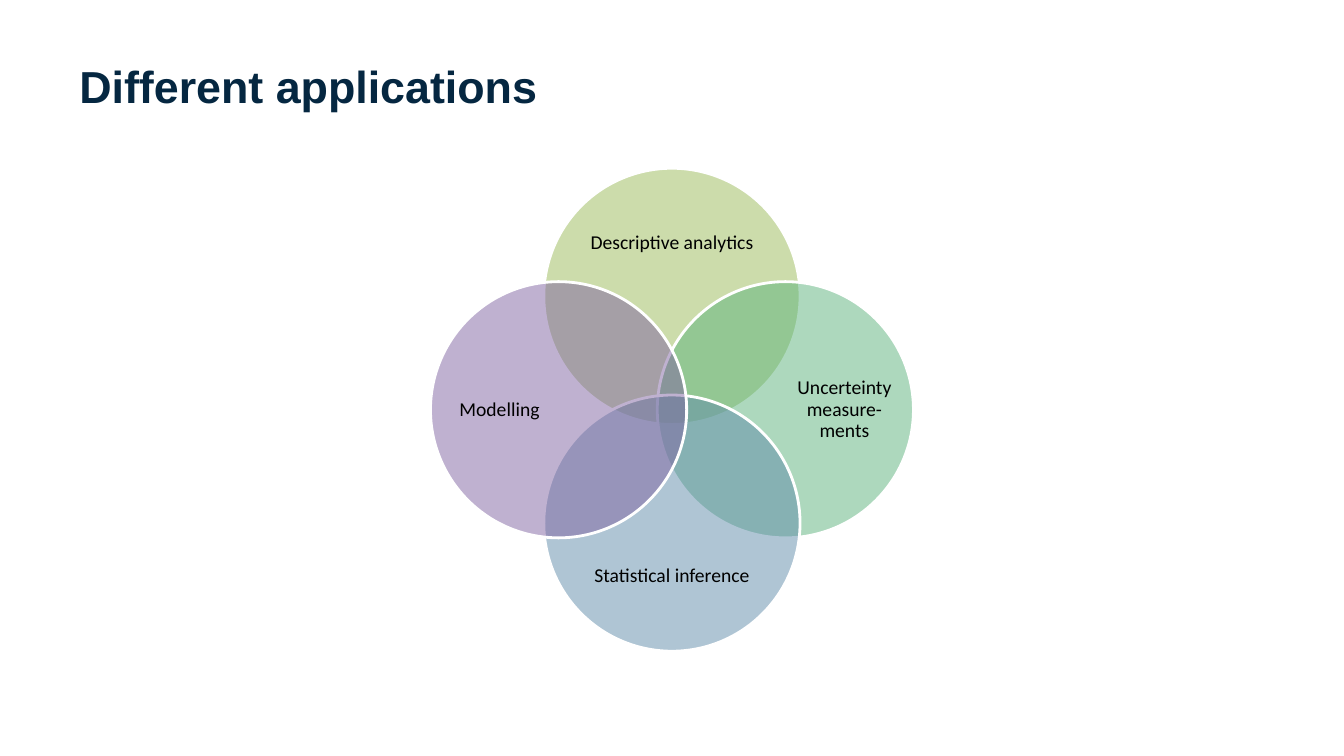
from dataclasses import dataclass

from lxml import etree
from pptx import Presentation
from pptx.dml.color import RGBColor
from pptx.enum import shapes, text
from pptx.oxml import ns
from pptx.slide import Slide
from pptx.util import Pt

NAVY = RGBColor(0x05, 0x27, 0x41)
BLACK = RGBColor(0, 0, 0)
WHITE = RGBColor(0xFF, 0xFF, 0xFF)
LIME = RGBColor(0x9B, 0xBB, 0x59)
GREEN = RGBColor(0x5C, 0xB3, 0x7C)
BLUE = RGBColor(0x60, 0x8C, 0xAB)
PURPLE = RGBColor(0x80, 0x64, 0xA2)

# Centre of the diagram, circle size and distance of circles from the centre
MID_X, MID_Y = 480, 292.7
SIZE, STEP = 183, 81
LONG = 140.4


@dataclass
class Circle:
    label: str
    color: RGBColor
    dx: int  # direction from the centre
    dy: int


CIRCLES = [
    Circle("Descriptive analytics", LIME, 0, -1),
    Circle("Uncerteinty measure-\vments", GREEN, 1, 0),
    Circle("Statistical inference", BLUE, 0, 1),
    Circle("Modelling", PURPLE, -1, 0),
]


def box(x: float, y: float, wide: float, high: float) -> tuple:
    """Left, top, width and height of a box centred at x, y."""
    return Pt(x - wide / 2), Pt(y - high / 2), Pt(wide), Pt(high)


def add_title(slide: Slide, words: str) -> None:
    title = slide.shapes.title
    title.left, title.top, title.width, title.height = Pt(48), Pt(21.6), Pt(864), Pt(78.5)
    frame = title.text_frame
    frame.text = words
    frame.vertical_anchor = text.MSO_ANCHOR.MIDDLE
    frame.margin_left = frame.margin_right = Pt(8.64)
    frame.margin_top = frame.margin_bottom = Pt(4.32)
    para = frame.paragraphs[0]
    para.alignment = text.PP_ALIGN.LEFT
    font = para.runs[0].font
    font.name, font.size, font.bold = "Arial", Pt(32), True
    font.color.rgb = NAVY


def add_disc(slide: Slide, item: Circle) -> None:
    place = box(MID_X + STEP * item.dx, MID_Y + STEP * item.dy, SIZE, SIZE)
    disc = slide.shapes.add_shape(shapes.MSO_SHAPE.OVAL, *place)
    disc.shadow.inherit = False
    disc.fill.solid()
    disc.fill.fore_color.rgb = item.color
    tint = disc.fill._xPr.find(".//" + ns.qn("a:srgbClr"))
    etree.SubElement(tint, ns.qn("a:alpha")).set("val", "50000")
    disc.line.color.rgb = WHITE
    disc.line.width = Pt(2)


def add_label(slide: Slide, item: Circle) -> None:
    wide, high = (70.6, LONG) if item.dx else (LONG, 58.3)
    place = box(MID_X + 123.2 * item.dx, MID_Y + 118.8 * item.dy, wide, high)
    frame = slide.shapes.add_textbox(*place).text_frame
    frame.word_wrap = True
    frame.vertical_anchor = text.MSO_ANCHOR.MIDDLE
    frame.margin_left = frame.margin_right = 0
    frame.margin_top = frame.margin_bottom = 0
    frame.text = item.label
    para = frame.paragraphs[0]
    para.alignment = text.PP_ALIGN.CENTER
    para.line_spacing = 0.9
    for run in para.runs:
        run.font.name, run.font.size = "Calibri", Pt(14)
        run.font.color.rgb = BLACK


def main() -> None:
    deck = Presentation()
    deck.slide_width, deck.slide_height = Pt(960), Pt(540)
    slide = deck.slides.add_slide(deck.slide_layouts[5])
    add_title(slide, "Different applications")

    # Overlapping circles, each followed by its label
    for item in CIRCLES:
        add_disc(slide, item)
        add_label(slide, item)

    deck.save("out.pptx")


if __name__ == "__main__":
    main()
